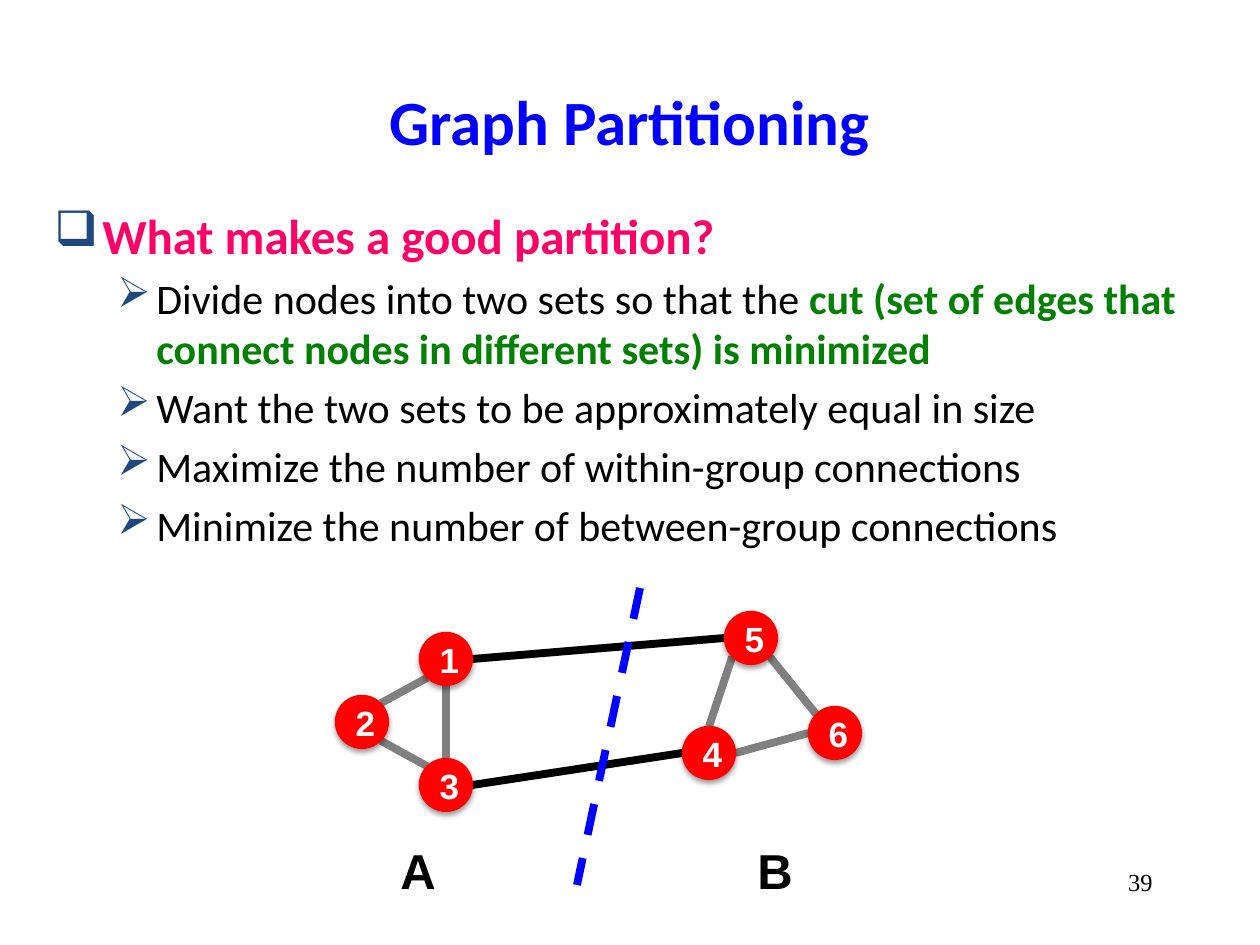
"""Builds the Graph Partitioning slide with its two-set example graph."""
import math

import pptx
import pptx.dml.color
import pptx.enum.dml
import pptx.enum.shapes
import pptx.enum.text
import pptx.oxml
import pptx.util

RGB = pptx.dml.color.RGBColor
BLUE = RGB(0x00, 0x00, 0xFF)
PINK = RGB(0xFF, 0x00, 0x66)
GREEN = RGB(0x00, 0x80, 0x00)
BLACK = RGB(0x00, 0x00, 0x00)
WHITE = RGB(0xFF, 0xFF, 0xFF)
RED = RGB(0xFF, 0x00, 0x00)
GRAY = RGB(0x80, 0x80, 0x80)
BULLET = RGB(0x1F, 0x49, 0x7D)

NS = 'xmlns:a="http://schemas.openxmlformats.org/drawingml/2006/main"'
PX = 914400 // 126
NODE_SIZE = 53
ALIGN = pptx.enum.text.PP_ALIGN
ANCHOR = pptx.enum.text.MSO_ANCHOR

TITLE = "Graph Partitioning"
LEVELS = [
    {"char": "❑", "size": 28, "left": 48, "hang": 48},
    {"char": "➢", "size": 24, "left": 102, "hang": 39},
]
BODY = [
    (0, [("What makes a good partition?", PINK, True)]),
    (1, [("Divide nodes into two sets so that the ", BLACK, False),
         ("cut (set of edges that connect nodes in different sets) is minimized",
          GREEN, True)]),
    (1, [("Want the two sets to be approximately equal in size", BLACK, False)]),
    (1, [("Maximize the number of within-group connections", BLACK, False)]),
    (1, [("Minimize the number of between-group connections", BLACK, False)]),
]
NODES = {
    "1": (446, 659), "3": (446, 785), "2": (362, 722),
    "5": (751, 638), "4": (709, 753), "6": (835, 733),
}
ANGLES = {"right": 0, "bottom right": 45, "bottom": 90, "bottom left": 135,
          "left": 180, "top left": 225, "top": 270, "top right": 315}
EDGES = [
    ("1", "bottom left", "2", "top right", GRAY),
    ("2", "bottom right", "3", "top left", GRAY),
    ("1", "bottom", "3", "top", GRAY),
    ("1", "right", "5", "left", BLACK),
    ("3", "right", "4", "left", BLACK),
    ("5", "bottom right", "6", "top left", GRAY),
    ("4", "right", "6", "left", GRAY),
    ("5", "bottom left", "4", "top", GRAY),
]
CUT = ((640, 588), (577, 885))
SETS = [("A", 388), ("B", 745)]


def px(*values):
    return [round(v * PX) for v in values]


def add_run(p, text, font, size, color, bold=False):
    r = p.add_run()
    r.text = text
    r.font.name = font
    r.font.size = pptx.util.Pt(size)
    r.font.bold = bold
    r.font.color.rgb = color


def add_box(s, box, anchor=ANCHOR.TOP, wrap=True):
    tf = s.shapes.add_textbox(*px(*box)).text_frame
    tf.word_wrap = wrap
    tf.vertical_anchor = anchor
    return tf


def add_bullet(p, level):
    pPr = p._p.get_or_add_pPr()
    left, hang = px(level["left"], level["hang"])
    pPr.set("marL", str(left))
    pPr.set("indent", str(-hang))
    for xml in (f'<a:buClr {NS}><a:srgbClr val="{BULLET}"/></a:buClr>',
                f'<a:buChar {NS} char="{level["char"]}"/>'):
        pPr.append(pptx.oxml.parse_xml(xml))


def add_body(s):
    tf = add_box(s, (42, 199, 1165, 640))
    for i, (depth, runs) in enumerate(BODY):
        p = tf.add_paragraph() if i else tf.paragraphs[0]
        p.level = depth
        level = LEVELS[depth]
        add_bullet(p, level)
        if i:
            p.space_before = pptx.util.Pt(4.8)
        for text, color, bold in runs:
            add_run(p, text, "Calibri", level["size"], color, bold)


def add_line(s, start, end, color):
    line = s.shapes.add_connector(
        pptx.enum.shapes.MSO_CONNECTOR.STRAIGHT, *px(*start, *end))
    line.line.color.rgb = color
    line.line.width = pptx.util.Pt(4.5)
    line._element.spPr.append(pptx.oxml.parse_xml(f"<a:effectLst {NS}/>"))
    return line


def rim(node, side):
    x, y = NODES[node]
    angle = math.radians(ANGLES[side])
    radius = NODE_SIZE / 2
    return x + radius * math.cos(angle), y + radius * math.sin(angle)


def add_node(s, name, center):
    x, y = (v - NODE_SIZE / 2 for v in center)
    sp = s.shapes.add_shape(pptx.enum.shapes.MSO_SHAPE.OVAL,
                            *px(x, y, NODE_SIZE, NODE_SIZE))
    sp.fill.solid()
    sp.fill.fore_color.rgb = RED
    sp.line.color.rgb = RED
    sp.line.width = pptx.util.Pt(0.75)
    sp.shadow.inherit = False
    blur, dist = pptx.util.Pt(3.1), pptx.util.Pt(1.6)
    effects = sp._element.spPr.find(pptx.oxml.ns.qn("a:effectLst"))
    effects.append(pptx.oxml.parse_xml(
        f'<a:outerShdw {NS} blurRad="{blur}" dist="{dist}" dir="5400000" '
        f'rotWithShape="0"><a:srgbClr val="{BLACK}"><a:alpha val="38000"/>'
        '</a:srgbClr></a:outerShdw>'))
    tf = sp.text_frame
    tf.word_wrap = False
    tf.vertical_anchor = ANCHOR.MIDDLE
    tf.margin_left, tf.margin_right, tf.margin_top, tf.margin_bottom = px(7, 0, 2, 0)
    p = tf.paragraphs[0]
    p.alignment = ALIGN.CENTER
    add_run(p, name, "Arial", 20, WHITE, True)


def main():
    prs = pptx.Presentation()
    prs.slide_width, prs.slide_height = px(1260, 945)
    s = prs.slides.add_slide(prs.slide_layouts[6])

    p = add_box(s, (94, 42, 1071, 157), ANCHOR.MIDDLE).paragraphs[0]
    p.alignment = ALIGN.CENTER
    add_run(p, TITLE, "Calibri", 36, BLUE, True)
    add_body(s)
    p = add_box(s, (903, 861, 262, 63)).paragraphs[0]
    p.alignment = ALIGN.RIGHT
    add_run(p, "39", "Times New Roman", 14, BLACK)

    for a, a_side, b, b_side, color in EDGES:
        add_line(s, rim(a, a_side), rim(b, b_side), color)
    for name, center in NODES.items():
        add_node(s, name, center)
    cut = add_line(s, *CUT, BLUE)
    cut.line.dash_style = pptx.enum.dml.MSO_LINE.DASH
    for name, x in SETS:
        p = add_box(s, (x, 834, 62, 72), wrap=False).paragraphs[0]
        add_run(p, name, "Arial", 28, BLACK, True)

    prs.save("out.pptx")


if __name__ == "__main__":
    main()
